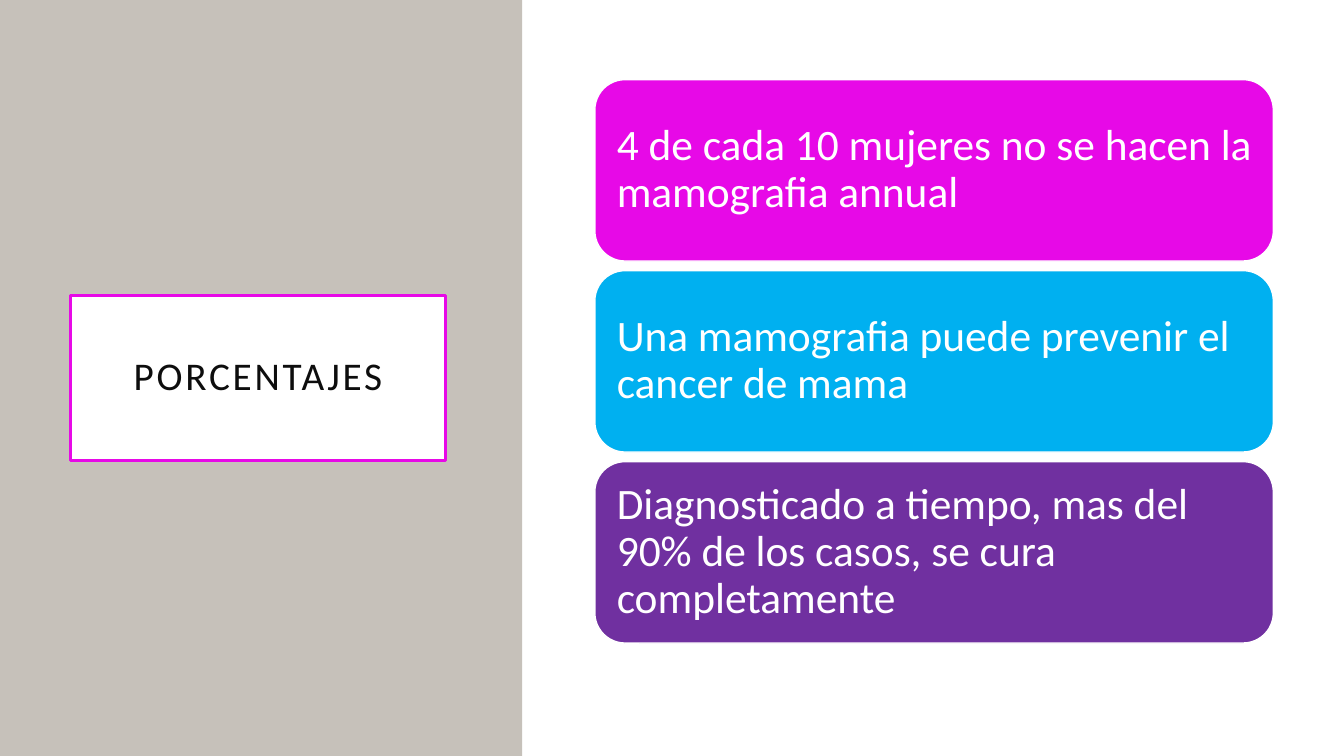
import pptx
import pptx.util
import pptx.dml.color
import pptx.enum.shapes
import pptx.enum.text

Inch, Pt = pptx.util.Inches, pptx.util.Pt
Kind = pptx.enum.shapes.MSO_SHAPE
Align = pptx.enum.text.PP_ALIGN

# Content
TITLE = "PORCENTAJES"
CARDS = [
    ("4 de cada 10 mujeres no se hacen la mamografia annual", "E709E7"),
    ("Una mamografia puede prevenir el cancer de mama", "00B0F0"),
    ("Diagnosticado a tiempo, mas del 90% de los casos, se cura completamente", "7030A0"),
]
WIDE, HIGH = 13.33, 7.5
PANELS = [(0, 5.18, "C6C1BA"), (5.2, WIDE - 5.2, "FFFFFF")]  # left, width, fill
LEFT, TOP, WIDTH, TALL, STEP = 5.9, 0.79, 6.73, 1.8, 1.895


def color(code):
    return pptx.dml.color.RGBColor.from_string(code)


def paint(shape, fill, edge=None, width=1):
    shape.fill.solid()
    shape.fill.fore_color.rgb = color(fill)
    if edge:
        shape.line.color.rgb = color(edge)
        shape.line.width = Pt(width)
    else:
        shape.line.fill.background()


def add(kind, left, top, width, height):
    shape = slide.shapes.add_shape(kind, *map(Inch, (left, top, width, height)))
    shape.shadow.inherit = False
    return shape


def write(shape, text, size, ink, align, inset):
    frame = shape.text_frame
    frame.text = text
    frame.word_wrap = True
    frame.auto_size = pptx.enum.text.MSO_AUTO_SIZE.NONE
    frame.vertical_anchor = pptx.enum.text.MSO_ANCHOR.MIDDLE
    frame.margin_left = frame.margin_right = Inch(inset)
    frame.margin_top = frame.margin_bottom = Inch(inset)
    para = frame.paragraphs[0]
    para.alignment = align
    para.line_spacing = 0.9
    para.font.name = "Calibri"
    para.font.size = Pt(size)
    para.font.color.rgb = color(ink)
    return para


deck = pptx.Presentation()
deck.slide_width, deck.slide_height = Inch(WIDE), Inch(HIGH)
slide = deck.slides.add_slide(deck.slide_layouts[5])
title = slide.shapes.title

# Side panels, behind the title
for left, width, fill in PANELS:
    panel = add(Kind.RECTANGLE, left, 0, width, HIGH)
    paint(panel, fill)
    title.element.addprevious(panel.element)

# Framed title with wide letter spacing
title.left, title.top, title.width, title.height = map(Inch, (0.7, 2.93, 3.72, 1.64))
paint(title, "FFFFFF", "E709E7", 2.5)
para = write(title, TITLE, 28, "0D0D0D", Align.CENTER, 0.2)
para.runs[0].font.bold = False
para.runs[0].font._element.set("spc", "200")

# Stacked cards
for row, (text, fill) in enumerate(CARDS):
    card = add(Kind.ROUNDED_RECTANGLE, LEFT, TOP + row * STEP, WIDTH, TALL)
    paint(card, fill, "FFFFFF")
    write(card, text, 31, "FFFFFF", Align.LEFT, 0.13)

deck.save("out.pptx")
